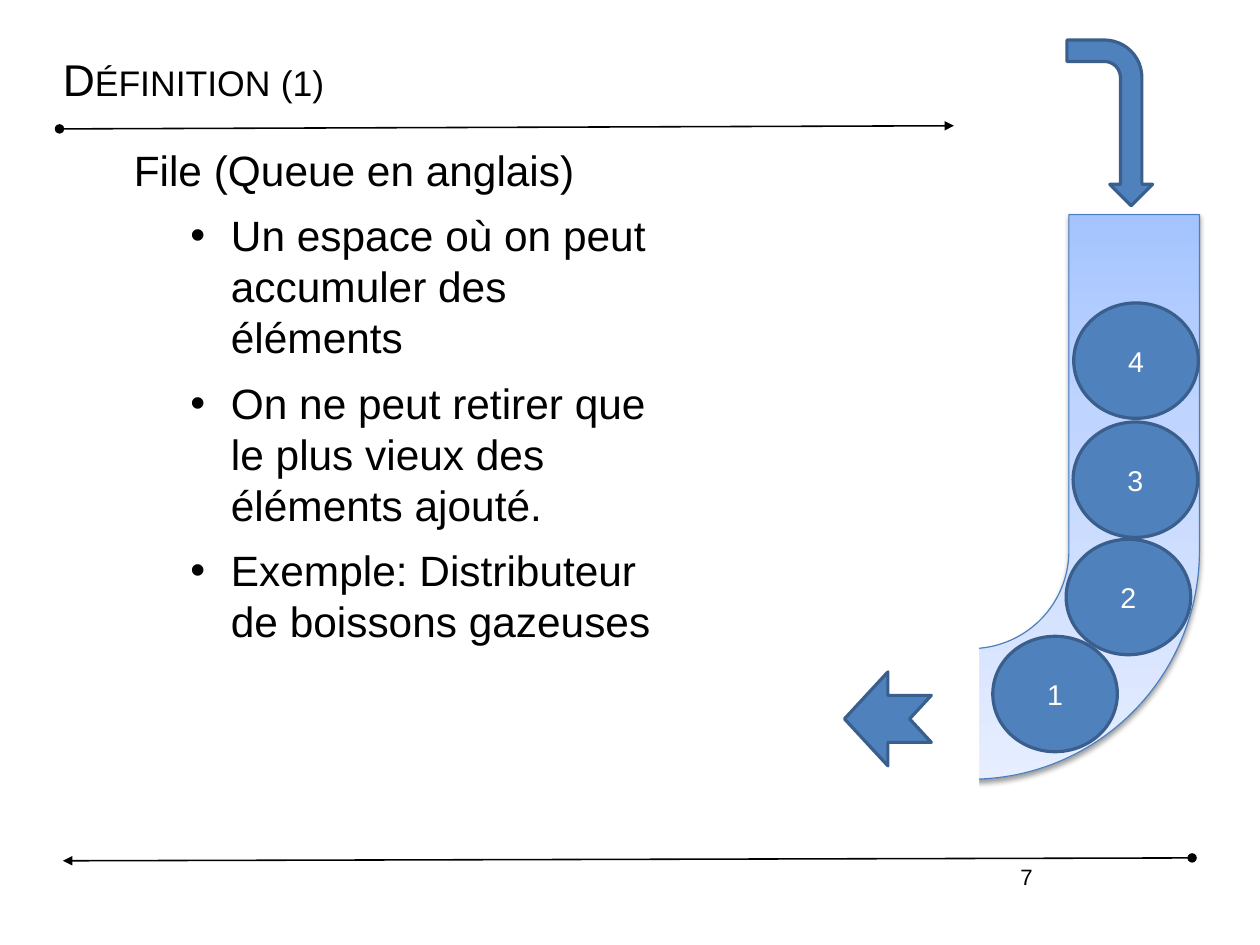
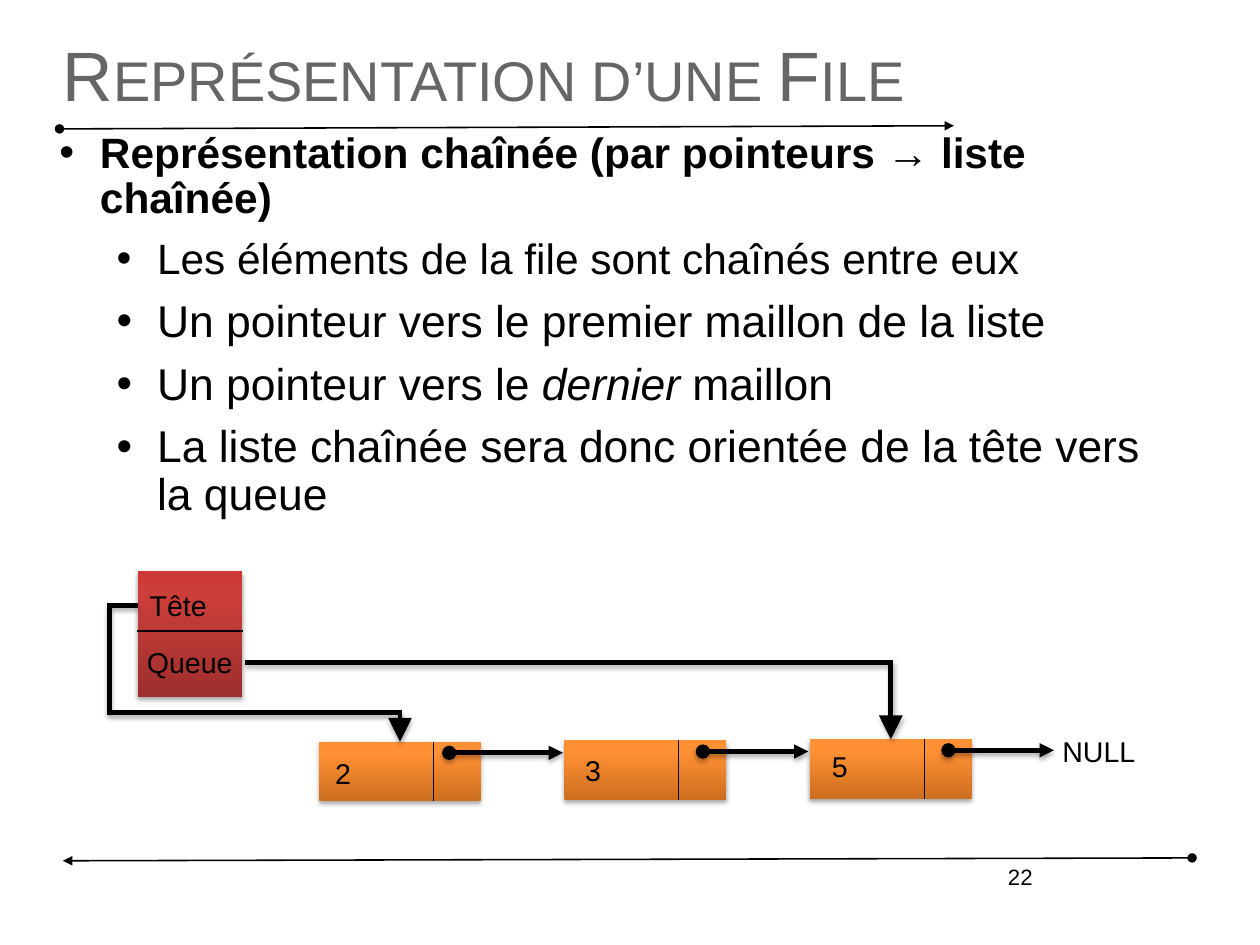
from pptx import Presentation
from pptx.dml.color import RGBColor
from pptx.enum.shapes import MSO_CONNECTOR as Connector, MSO_SHAPE as Preset
from pptx.enum.text import MSO_ANCHOR as Anchor, MSO_AUTO_SIZE as AutoSize, PP_ALIGN as Align
from pptx.oxml.ns import qn
from pptx.util import Pt
from lxml.etree import SubElement

BLACK, WHITE, GREY = "000000", "FFFFFF", "666666"
BLUE, NAVY, PIPE_EDGE = "4F81BD", "3A5F8C", "4B7EBC"
PIPE = [(0, "A4C4FF"), (35, "BFD4FF"), (100, "E6EEFF")]
ORANGE = [(0, "CC6E20"), (80, "FF9034"), (100, "FF9136")]
RED = [(0, "9C2F2D"), (80, "CB3E3A"), (100, "CE3B37")]
LABEL_HEIGHT = 29


def colour(hex_value):
    return RGBColor.from_string(hex_value)


def add_xml(parent, tag, **attributes):
    return SubElement(parent, qn(tag), attributes)


class Deck:
    font = "Arial"

    def __init__(self, width, height):
        self.file = Presentation()
        self.file.slide_width, self.file.slide_height = Pt(width), Pt(height)
        self.slide = None

    def new_slide(self, title, title_size, title_colour, number, spacing=None):
        self.slide = self.file.slides.add_slide(self.file.slide_layouts[6])
        self.line((37.5, 81.2), (601, 79.2), 1, head="oval", tail="triangle")
        self.line((751, 540.4), (39.6, 542.2), 1, head="oval", tail="triangle")
        self.text(number, 473, 540.4, 184.7, 41, 14, align=Align.RIGHT)
        heading = self.text(title, 39.6, 23.6, 714, 52, title_size, title_colour, inset=0)
        heading.text_frame.vertical_anchor = Anchor.MIDDLE
        paragraph = heading.text_frame.paragraphs[0]
        paragraph.line_spacing = spacing
        paragraph.runs[0].font._element.set("cap", "small")

    def style(self, run, size, hex_value=BLACK, bold=False, italic=False):
        run.font.name, run.font.size = self.font, Pt(size)
        run.font.bold, run.font.italic = bold, italic
        run.font.color.rgb = colour(hex_value)

    def text(self, words, x, y, width, height, size, hex_value=BLACK, align=Align.LEFT, inset=None):
        box = self.slide.shapes.add_textbox(Pt(x), Pt(y), Pt(width), Pt(height))
        frame = box.text_frame
        frame.word_wrap = True
        if inset is not None:
            frame.margin_left = frame.margin_right = Pt(inset)
            frame.margin_top = frame.margin_bottom = Pt(inset)
        if words:
            frame.text = words
            frame.paragraphs[0].alignment = align
            self.style(frame.paragraphs[0].runs[0], size, hex_value)
        return box

    def label(self, words, x, y, width):
        box = self.text(words, x, y, width, LABEL_HEIGHT, 18)
        box.text_frame.word_wrap = False
        box.text_frame.auto_size = AutoSize.SHAPE_TO_FIT_TEXT
        return box

    def body(self, items, x, y, width, height, spacing=None):
        box = self.text("", x, y, width, height, 0, inset=0)
        for index, (words, level, indent, size, bold, bullet) in enumerate(items):
            frame = box.text_frame
            paragraph = frame.add_paragraph() if index else frame.paragraphs[0]
            paragraph.level = level
            paragraph.space_before, paragraph.line_spacing = Pt(9.4), spacing
            for part, piece in enumerate(words.split("*")):
                run = paragraph.add_run()
                run.text = piece
                self.style(run, size, bold=bold, italic=part % 2 == 1)
            properties = paragraph._p.get_or_add_pPr()
            properties.set("marL", str(Pt(indent)))
            properties.set("indent", str(Pt(-25.5) if bullet else 0))
            if bullet:
                add_xml(properties, "a:buFont", typeface=self.font)
                add_xml(properties, "a:buChar", char="•")
        return box

    def shadow(self, shape, opacity, distance):
        properties = shape._element.spPr
        effects = properties.find(qn("a:effectLst"))
        shade = add_xml(effects, "a:outerShdw", blurRad=str(Pt(3.1)), dist=str(Pt(distance)),
                        dir="5400000", rotWithShape="0")
        tint = add_xml(shade, "a:srgbClr", val=BLACK)
        add_xml(tint, "a:alpha", val=str(opacity * 1000))

    def shape(self, preset, x, y, width, height, fill, edge=None, edge_width=2, turn=0):
        shape = self.slide.shapes.add_shape(preset, Pt(x), Pt(y), Pt(width), Pt(height))
        shape.shadow.inherit = False
        shape.rotation = turn
        if isinstance(fill, str):
            shape.fill.solid()
            shape.fill.fore_color.rgb = colour(fill)
        else:
            shape.fill.gradient()
            shape.fill.gradient_angle = 90
            stops = shape._element.spPr.find(qn("a:gradFill")).find(qn("a:gsLst"))
            for stop in list(stops):
                stops.remove(stop)
            for position, hex_value in fill:
                stop = add_xml(stops, "a:gs", pos=str(position * 1000))
                add_xml(stop, "a:srgbClr", val=hex_value)
        if edge:
            shape.line.color.rgb, shape.line.width = colour(edge), Pt(edge_width)
        else:
            shape.line.fill.background()
        return shape

    def ball(self, number, x, y):
        ball = self.shape(Preset.FLOWCHART_CONNECTOR, x, y, 78.5, 72.7, BLUE, NAVY)
        frame = ball.text_frame
        frame.text = number
        frame.vertical_anchor = Anchor.MIDDLE
        frame.paragraphs[0].alignment = Align.CENTER
        self.style(frame.paragraphs[0].runs[0], 18, WHITE)

    def line(self, start, end, width, head=None, tail=None, kind=Connector.STRAIGHT,
             shaded=False, tip_size="med"):
        line = self.slide.shapes.add_connector(kind, *map(Pt, start + end))
        line.line.color.rgb, line.line.width = colour(BLACK), Pt(width)
        outline = line.line._get_or_add_ln()
        add_xml(outline, "a:miter", lim="800000")
        for tag, tip in (("a:headEnd", head), ("a:tailEnd", tail)):
            if tip:
                add_xml(outline, tag, type=tip, w=tip_size, len=tip_size)
        add_xml(line._element.spPr, "a:effectLst")
        if shaded:
            self.shadow(line, 35, 1.8)
        return line

    def elbow(self, source, site, target, start, end, preset, adjustments=()):
        link = self.line(start, end, 3, tail="triangle", kind=Connector.ELBOW,
                         shaded=True, tip_size="lg")
        link.begin_connect(source, site)
        link.end_connect(target, 0)
        geometry = link._element.spPr.find(qn("a:prstGeom"))
        geometry.set("prst", preset)
        guides = geometry.find(qn("a:avLst"))
        for index, value in enumerate(adjustments, 1):
            add_xml(guides, "a:gd", name=f"adj{index}", fmla=f"val {value}")


def definition(deck):
    deck.new_slide("Définition (1)", 28, BLACK, "7")
    points = ["Un espace où on peut accumuler des éléments",
              "On ne peut retirer que le plus vieux des éléments ajouté.",
              "Exemple: Distributeur de boissons gazeuses"]
    items = [("File (Queue en anglais)", 1, 44.8, 26.7, False, False)]
    items += [(point, 2, 106, 26.7, False, True) for point in points]
    panel = deck.body(items, 39.5, 90.5, 389, 441)
    panel.fill.solid()
    panel.fill.fore_color.rgb = colour(WHITE)

    pipe = deck.shape(Preset.U_TURN_ARROW, 426.6, 135.2, 329, 355.6, PIPE, PIPE_EDGE, 0.75, 180)
    deck.shadow(pipe, 38, 1.6)
    deck.shape(Preset.RECTANGLE, 418.8, 187, 198, 342, WHITE)
    for number, x, y in (("1", 625.4, 400.8), ("2", 671.6, 339.7),
                         ("3", 676, 265.8), ("4", 676.4, 190.8)):
        deck.ball(number, x, y)
    deck.shape(Preset.BENT_ARROW, 646.9, 50.4, 104.4, 54, BLUE, NAVY, turn=90)
    deck.shape(Preset.NOTCHED_RIGHT_ARROW, 532, 423.2, 54.7, 59.2, BLUE, NAVY, turn=180)


def linked_list(deck):
    deck.new_slide("Représentation d’une File", 44, GREY, "22", 0.9)
    points = [("Les éléments de la file sont chaînés entre eux", 26.7),
              ("Un pointeur vers le premier maillon de la liste", 28),
              ("Un pointeur vers le *dernier* maillon", 28),
              ("La liste chaînée sera donc orientée de la tête vers la queue", 28)]
    items = [("Représentation chaînée (par pointeurs → liste chaînée)", 0, 34, 26.7, True, True)]
    items += [(point, 1, 70, size, False, True) for point, size in points]
    deck.body(items, 29, 82.8, 714, 273, 0.9)

    nodes = []
    for index, (value, label_x, label_y, pointer_x) in enumerate(
            (("2", 204, 472.8, 283), ("3", 361.5, 471, 442.8), ("5", 517, 468.5, 597.5))):
        x, y = 201 + 154.6 * index, 467.2 - 0.8 * index
        node = deck.shape(Preset.RECTANGLE, x, y, 102, 37.5, ORANGE)
        deck.shadow(node, 35, 1.8)
        deck.line((x + 72, y), (x + 72, y + 37.5), 0.75)
        deck.line((pointer_x, y + 7), (x + 153.7, y + 7), 3, "oval", "triangle", shaded=True)
        deck.label(value, label_x, label_y, 24.5)
        nodes.append(node)
    deck.label("NULL", 662.2, 458.5, 61)

    ends = deck.shape(Preset.RECTANGLE, 86.8, 359.8, 66, 79.4, RED)
    deck.shadow(ends, 35, 1.8)
    deck.line((86.4, 397.5), (152.8, 397.5), 0.75)
    first = deck.label("Tête", 87.2, 367, 51)
    last = deck.label("Queue", 85.5, 403, 69)
    deck.elbow(first, 1, nodes[0], (87.2, 381.5), (252, 467.2), "bentConnector4", (-10900, 78400))
    deck.elbow(last, 3, nodes[2], (154.5, 417.5), (561.2, 465.6), "bentConnector2")


def main():
    deck = Deck(793.75, 595.25)
    definition(deck)
    linked_list(deck)
    deck.file.save("out.pptx")


if __name__ == "__main__":
    main()
